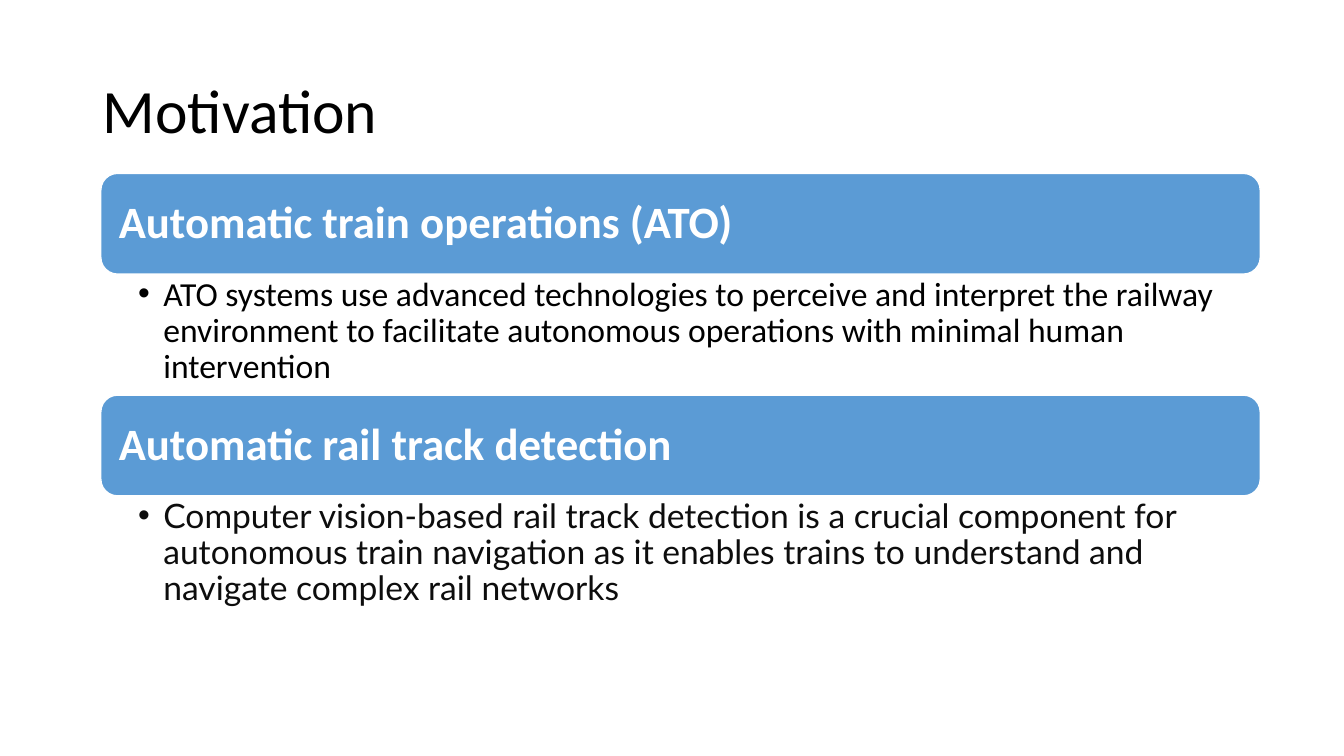
from lxml.etree import SubElement
from pptx import Presentation
from pptx.dml.color import RGBColor
from pptx.enum.shapes import MSO_SHAPE
from pptx.enum.text import MSO_ANCHOR, MSO_AUTO_SIZE, PP_ALIGN
from pptx.oxml.ns import qn
from pptx.util import Inches, Pt

TOPICS = [
    ("Automatic train operations (ATO)",
     "ATO systems use advanced technologies to perceive and interpret the railway "
     "environment to facilitate autonomous operations with minimal human intervention",
     {"font": "Calibri", "color": "000000"}),
    ("Automatic rail track detection",
     "Computer vision-based rail track detection is a crucial component for "
     "autonomous train navigation as it enables trains to understand and "
     "navigate complex rail networks",
     {"font": "Lato", "color": "0D0D0D"}),
]
LEFT, WIDTH = 1, 11.5
FIRST_TOP, TOPIC_PITCH = 1.72, 2.2
BANNER_HEIGHT, DETAIL_HEIGHT = 1, 1.19


def rgb(hex_color):
    return RGBColor.from_string(hex_color)


def write_text(shape, text, *, size, color, font="Calibri", bold=False,
               anchor=MSO_ANCHOR.MIDDLE, insets=(0.1, 0.05, 0.1, 0.05), bullet=False):
    """Fill a shape with one formatted paragraph; insets run left, top, right, bottom."""
    frame = shape.text_frame
    frame.word_wrap = True
    frame.auto_size = MSO_AUTO_SIZE.NONE
    frame.vertical_anchor = anchor
    (frame.margin_left, frame.margin_top,
     frame.margin_right, frame.margin_bottom) = map(Inches, insets)
    paragraph = frame.paragraphs[0]
    paragraph.text = text
    paragraph.alignment = PP_ALIGN.LEFT
    paragraph.line_spacing = 0.9
    paragraph.space_before = Pt(0)
    if bullet:
        paragraph.level = 1
        properties = paragraph._p.get_or_add_pPr()
        properties.set("marL", str(Inches(0.25)))
        properties.set("indent", str(-Inches(0.25)))
        SubElement(properties, qn("a:buFont")).set("typeface", "Arial")
        SubElement(properties, qn("a:buChar")).set("char", "•")
    style = paragraph.runs[0].font
    style.name, style.size, style.bold = font, Pt(size), bold
    style.color.rgb = rgb(color)


class TopicSlide:
    accent = "5B9BD5"
    light = "FFFFFF"

    def __init__(self, presentation):
        two_content = presentation.slide_layouts[3]
        self.slide = presentation.slides.add_slide(two_content)

    def placeholder(self, index, left, top, width, height):
        """Move the placeholder to the given place and return it."""
        holder = self.slide.placeholders[index]
        holder.left, holder.top = Inches(left), Inches(top)
        holder.width, holder.height = Inches(width), Inches(height)
        return holder

    def title(self, text):
        heading = self.placeholder(0, 0.92, 0.4, WIDTH, 1.45)
        write_text(heading, text, size=44, color="000000")

    def banner(self, text, top):
        banner = self.slide.shapes.add_shape(
            MSO_SHAPE.ROUNDED_RECTANGLE, Inches(LEFT), Inches(top),
            Inches(WIDTH), Inches(BANNER_HEIGHT))
        banner.shadow.inherit = False
        banner.fill.solid()
        banner.fill.fore_color.rgb = rgb(self.accent)
        banner.line.color.rgb = rgb(self.light)
        banner.line.width = Pt(1)
        # The preset insets its text by about 0.05 inch for the rounded corners.
        write_text(banner, text, size=32, color=self.light, bold=True,
                   insets=(0.13, 0.13, 0.13, 0.13))

    def detail(self, index, text, top, **look):
        detail = self.placeholder(index, LEFT, top, WIDTH, DETAIL_HEIGHT)
        write_text(detail, text, size=24, anchor=MSO_ANCHOR.TOP,
                   insets=(0.37, 0.03, 0.19, 0.03), bullet=True, **look)


def main():
    presentation = Presentation()
    presentation.slide_width = Inches(13.33)
    presentation.slide_height = Inches(7.5)
    motivation = TopicSlide(presentation)
    motivation.title("Motivation")
    for number, (topic, explanation, look) in enumerate(TOPICS):
        top = FIRST_TOP + number * TOPIC_PITCH
        motivation.banner(topic, top)
        motivation.detail(number + 1, explanation, top + BANNER_HEIGHT, **look)
    presentation.save("out.pptx")


if __name__ == "__main__":
    main()
